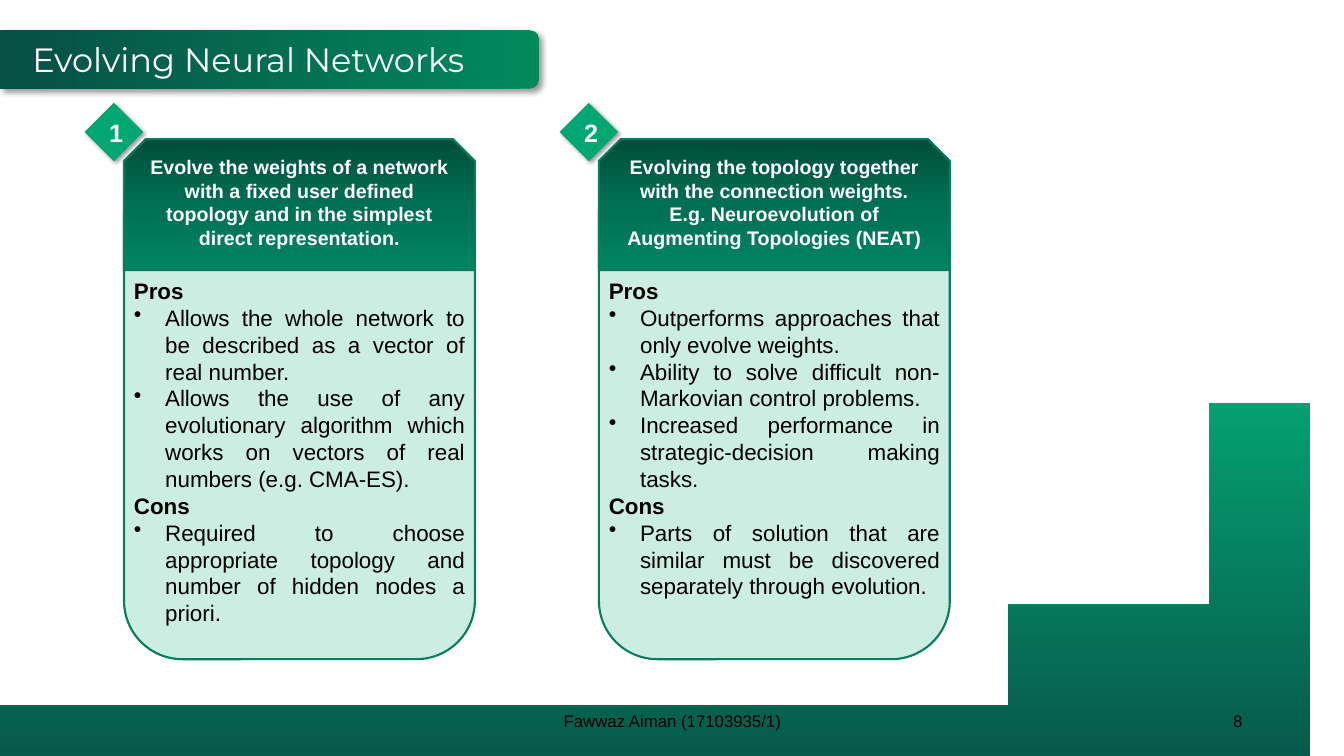
from lxml.etree import SubElement
from pptx import Presentation
from pptx.dml.color import RGBColor
from pptx.enum.shapes import MSO_SHAPE
from pptx.enum.text import MSO_ANCHOR, MSO_AUTO_SIZE, PP_ALIGN
from pptx.oxml.ns import qn
from pptx.util import Inches, Pt

SLIDE_WIDTH, SLIDE_HEIGHT = 13.33, 7.5
CARD_LEFT, CARD_PITCH, CARD_TOP = 1.23, 4.71, 1.38
CARD_WIDTH, CARD_HEIGHT, HEADER_HEIGHT = 3.48, 5.16, 1.3
BADGE_SIZE = 0.58
INDENT = Inches(0.31)
GREEN, OUTLINE, DEEP, WHITE, BLACK = "01A770", "077D5F", "075045", "FFFFFF", "000000"

CARDS = [
    ("Evolve the weights of a network with a fixed user defined topology and "
     "in the simplest direct representation.",
     {"Pros": ["Allows the whole network to be described as a vector of real number.",
               "Allows the use of any evolutionary algorithm which works on vectors "
               "of real numbers (e.g. CMA-ES)."],
      "Cons": ["Required to choose appropriate topology and number of hidden nodes "
               "a priori."]}),
    ("Evolving the topology together with the connection weights. E.g. "
     "Neuroevolution of Augmenting Topologies (NEAT)",
     {"Pros": ["Outperforms approaches that only evolve weights.",
               "Ability to solve difficult non-Markovian control problems.",
               "Increased performance in strategic-decision making tasks."],
      "Cons": ["Parts of solution that are similar must be discovered separately "
               "through evolution."]}),
]


def color(value):
    return RGBColor.from_string(value)


def inches(*lengths):
    return [Inches(length) for length in lengths]


def add_color_node(parent, value, opacity=100):
    node = SubElement(parent, qn("a:srgbClr"), val=value)
    if opacity < 100:
        SubElement(node, qn("a:alpha"), val=str(opacity * 1000))


def fill_gradient(shape, *colors):
    """Fill from top to bottom with evenly spaced colours."""
    shape.fill.gradient()
    shape.fill.gradient_angle = 270
    stops = shape._element.spPr.find(qn("a:gradFill")).find(qn("a:gsLst"))
    for stop in list(stops):
        stops.remove(stop)
    for index, value in enumerate(colors):
        position = 100000 * index // (len(colors) - 1)
        add_color_node(SubElement(stops, qn("a:gs"), pos=str(position)), value)


def add_shadow(shape, blur, distance):
    effects = shape._element.spPr.find(qn("a:effectLst"))
    shadow = SubElement(effects, qn("a:outerShdw"), blurRad=str(Pt(blur)),
                        dist=str(Pt(distance)), dir="2700000", algn="tl",
                        rotWithShape="0")
    add_color_node(shadow, BLACK, 40)


def add_preset(slide, kind, box, outline=None):
    shape = slide.shapes.add_shape(kind, *inches(*box))
    shape.shadow.inherit = False
    if outline:
        shape.line.color.rgb = color(outline)
        shape.line.width = Pt(1.5)
    else:
        shape.line.fill.background()
    return shape


def write_paragraph(paragraph, text, size, value, alignment, bold=False, font="Arial"):
    paragraph.text = text
    paragraph.alignment = alignment
    paragraph.font.name = font
    paragraph.font.size = Pt(size)
    paragraph.font.bold = bold
    paragraph.font.color.rgb = color(value)


def add_bullet(paragraph):
    properties = paragraph._p.get_or_add_pPr()
    properties.set("marL", str(INDENT))
    properties.set("indent", str(-INDENT))
    bullet = SubElement(properties, qn("a:buChar"), char="•")
    properties.insert(0, bullet)


def add_text_frame(slide, box, anchor):
    frame = slide.shapes.add_textbox(*inches(*box)).text_frame
    frame.word_wrap = True
    frame.vertical_anchor = anchor
    return frame


def add_title(slide, box):
    left, top, width, height = box
    # The banner is drawn upright and turned, so its rounded end faces right.
    banner = add_preset(slide, MSO_SHAPE.ROUND_2_SAME_RECTANGLE,
                        (left + (width - height) / 2, top + (height - width) / 2,
                         height, width))
    banner.rotation = 90
    fill_gradient(banner, "01895C", DEEP)
    add_shadow(banner, 4, 3)

    title = slide.shapes.title
    slide.shapes._spTree.append(title._element)
    title.left, title.top, title.width, title.height = inches(
        left + 0.22, top + 0.04, width - 0.22, 0.5)
    frame = title.text_frame
    frame.auto_size = MSO_AUTO_SIZE.NONE
    frame.vertical_anchor = MSO_ANCHOR.TOP
    write_paragraph(frame.paragraphs[0], "Evolving Neural Networks", 24, WHITE,
                    PP_ALIGN.LEFT, font="Montserrat")


def add_corner_sweep(slide, width, height, steps=80):
    """Fill the lower right corner below a cubic curve."""
    controls = [(width, 0), (12.82, 7.71), (10.03, 7.13), (0, height)]
    points = []
    for step in range(steps + 1):
        t = step / steps
        weights = ((1 - t) ** 3, 3 * t * (1 - t) ** 2, 3 * t ** 2 * (1 - t), t ** 3)
        points.append(tuple(sum(weight * control[axis]
                                for weight, control in zip(weights, controls))
                            for axis in (0, 1)))
    builder = slide.shapes.build_freeform(*points[0], scale=Inches(1))
    builder.add_line_segments(points[1:] + [(width, height)], close=True)
    sweep = builder.convert_to_shape()
    sweep.shadow.inherit = False
    sweep.line.fill.background()
    fill_gradient(sweep, "01F1A0", DEEP)


def add_footer(slide, box):
    left, top, width, height = box
    parts = [("Fawwaz Aiman (17103935/1)", left, 4.5, PP_ALIGN.CENTER),
             ("8", left + width - 3, 3, PP_ALIGN.RIGHT)]
    for text, part_left, part_width, alignment in parts:
        frame = add_text_frame(slide, (part_left, top, part_width, height),
                               MSO_ANCHOR.MIDDLE)
        write_paragraph(frame.paragraphs[0], text, 12, BLACK, alignment)


def add_card(slide, box, number, heading, sections):
    left, top, width, height = box
    panel = add_preset(slide, MSO_SHAPE.ROUNDED_RECTANGLE,
                       (left, top + 0.16, width, height - 0.16), OUTLINE)
    panel.fill.solid()
    panel.fill.fore_color.rgb = color(GREEN)
    panel_color = panel._element.spPr.find(qn("a:solidFill"))[0]
    SubElement(panel_color, qn("a:alpha"), val="20000")

    header = add_preset(slide, MSO_SHAPE.SNIP_2_SAME_RECTANGLE,
                        (left, top, width, HEADER_HEIGHT), OUTLINE)
    fill_gradient(header, "004E3A", "006F53", "008462")
    header.text_frame.vertical_anchor = MSO_ANCHOR.TOP
    write_paragraph(header.text_frame.paragraphs[0], heading, 14, WHITE,
                    PP_ALIGN.CENTER, bold=True)

    frame = add_text_frame(slide, (left, top + HEADER_HEIGHT + 0.02, width, 3.6),
                           MSO_ANCHOR.TOP)
    lines = [(text, text in sections) for name, items in sections.items()
             for text in (name, *items)]
    for index, (text, is_heading) in enumerate(lines):
        paragraph = frame.add_paragraph() if index else frame.paragraphs[0]
        if not is_heading:
            add_bullet(paragraph)
        write_paragraph(paragraph, text, 16, BLACK, PP_ALIGN.JUSTIFY, bold=is_heading)

    badge = add_preset(slide, MSO_SHAPE.DIAMOND,
                       (left - 0.39, top - 0.36, BADGE_SIZE, BADGE_SIZE))
    badge.fill.solid()
    badge.fill.fore_color.rgb = color(GREEN)
    add_shadow(badge, 3, 2)
    write_paragraph(badge.text_frame.paragraphs[0], str(number), 18, WHITE,
                    PP_ALIGN.CENTER, bold=True)


def main():
    presentation = Presentation()
    presentation.slide_width, presentation.slide_height = inches(SLIDE_WIDTH, SLIDE_HEIGHT)
    slide = presentation.slides.add_slide(presentation.slide_layouts[5])
    add_corner_sweep(slide, SLIDE_WIDTH, SLIDE_HEIGHT)
    add_title(slide, (0, 0.3, 5.35, 0.58))
    add_footer(slide, (4.42, 6.95, 8, 0.4))
    for index, (heading, sections) in enumerate(CARDS):
        box = (CARD_LEFT + index * CARD_PITCH, CARD_TOP, CARD_WIDTH, CARD_HEIGHT)
        add_card(slide, box, index + 1, heading, sections)
    presentation.save("out.pptx")


if __name__ == "__main__":
    main()
